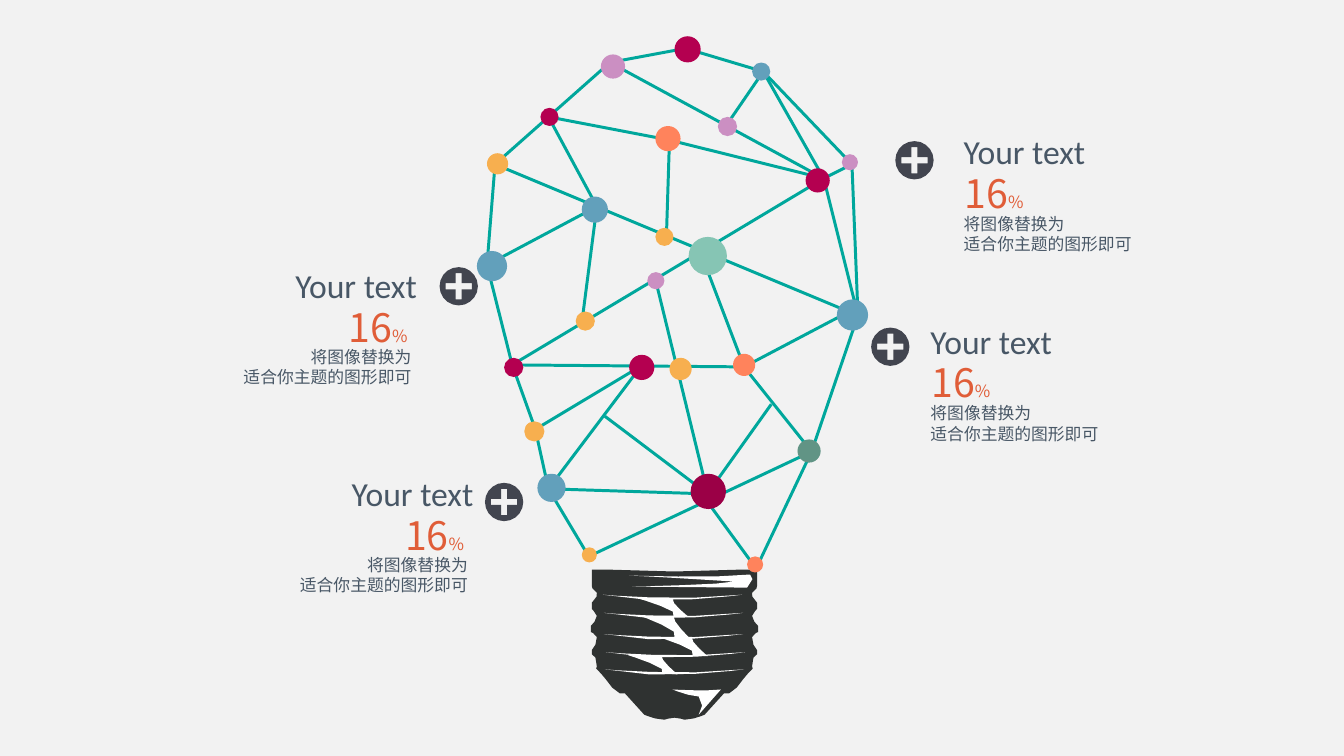
"""Build a light-bulb network slide with four callouts."""
import math

from lxml import etree
from pptx import Presentation
from pptx.dml.color import RGBColor
from pptx.enum import shapes, text
from pptx.oxml import ns
from pptx.util import Inches, Pt

BACKGROUND, SOCKET, WHITE = "F2F2F2", "2F3231", "FFFFFF"
TEAL, SLATE, RED, CHARCOAL = "00A79C", "485766", "E05D38", "42454F"
BLUE, MAGENTA, AMBER = "62A0BB", "B40050", "F7AF4F"
CORAL, LILAC, MINT = "FF835C", "CB8FC2", "86C5B4"
LATIN, CHINESE = "Calibri", "Noto Sans CJK SC"

# Outline steps: two numbers draw a line, six draw a Bezier curve.
SOCKET_LEFT = [
    (6.69, 5.67), (6, 5.65), (5.87, 5.65), (5.87, 5.81),
    (5.87, 5.81, 5.87, 5.86, 5.92, 5.88), (5.92, 5.88, 5.93, 5.95, 5.87, 5.98),
    (5.87, 6.04), (5.87, 6.04, 5.91, 6.08, 5.92, 6.11),
    (5.93, 6.14, 5.87, 6.2, 5.86, 6.21), (5.86, 6.27),
    (5.86, 6.27, 5.9, 6.28, 5.92, 6.32), (5.93, 6.37, 5.89, 6.43, 5.87, 6.45),
    (5.87, 6.49), (5.87, 6.49, 5.95, 6.54, 5.92, 6.61),
    (5.92, 6.61, 5.89, 6.65, 5.96, 6.68), (6.01, 6.74),
    (6.02, 6.77, 6.12, 6.88, 6.15, 6.88), (6.2, 6.88), (6.39, 7.09),
    (6.39, 7.09, 6.5, 7.14, 6.59, 7.14), (6.59, 7.14, 6.65, 7.12, 6.69, 7.12)]
SOCKET_AXIS = 6.69
TOP_GLOSS = [
    (6.24, 5.71), (6.24, 5.71, 7.13, 5.74, 7.44, 5.7),
    (7.44, 5.7, 7.51, 5.78, 7.41, 5.83), (6.27, 5.82),
    (6.27, 5.82, 7.23, 5.8, 7.28, 5.77), (7.28, 5.77, 6.5, 5.72, 6.24, 5.71)]
TIP_GLOSS = [
    (6.67, 6.84), (6.67, 6.84, 7.02, 6.86, 7.15, 6.84), (6.93, 7.09),
    (6.93, 7.09, 7.02, 6.91, 6.93, 6.91), (6.84, 6.91, 6.67, 6.84, 6.67, 6.84)]
GROOVE = [(0, 0), (0, 0, 0.76, 0.07, 1.38, 0), (1.38, 0, 0.54, 0.12, 0, 0)]
GROOVE_STARTS = [(5.98, 5.9), (5.99, 6.08), (5.99, 6.29), (6.01, 6.47), (6, 6.64)]
GLINT = [(0, 0), (0, 0, 0.45, 0.73, 0.34, 0.95),
         (0.49, 1), (0.49, 1, 0.31, 0.22, 0.33, 0)]
GLINTS = [(6.34, 5.94, 0.18), (6.35, 6.11, 0.22), (6.53, 6.32, 0.19), (6.23, 6.5, 0.19)]

WIRES = [
    [(6.96, 4.9), (7.5, 5.64), (8.05, 4.48), (8.51, 3.13), (4.91, 1.63),
     (6.05, 0.62), (8.17, 1.77), (5.08, 3.62), (7.38, 3.64), (8.05, 4.48),
     (5.84, 5.52), (5.44, 4.85), (5.31, 4.26)],
    [(7.2, 1.25), (7.57, 0.71), (8.17, 1.77), (8.45, 1.63), (8.51, 3.13),
     (8.17, 1.77), (6.64, 1.39)],
    [(6.61, 2.34), (6.64, 1.39), (5.44, 1.16), (5.92, 2.05), (4.83, 2.63),
     (5.08, 3.62), (5.31, 4.26), (6.36, 3.63), (5.44, 4.85), (7.02, 4.9), (6.5, 2.77)],
    [(4.91, 1.63), (4.83, 2.63)],
    [(8.45, 1.63), (7.57, 0.71), (6.8, 0.48), (6.05, 0.62)],
    [(5.77, 3.21), (5.92, 2.05)],
    [(8.33, 3.14), (7.38, 3.64), (6.95, 2.51)],
    [(6, 4.13), (7.02, 4.9)],
    [(7.65, 4.01), (7.03, 4.88)]]
NODES = [
    (5.33, 4.7, 0.28, BLUE), (6.85, 4.7, 0.35, "9B0046"), (7.91, 4.36, 0.23, "619485"),
    (7.27, 3.51, 0.22, CORAL), (6.64, 3.55, 0.22, AMBER), (6.83, 2.35, 0.38, MINT),
    (8.3, 2.97, 0.31, BLUE), (7.99, 1.67, 0.24, MAGENTA), (7.46, 0.62, 0.18, BLUE),
    (7.12, 1.16, 0.19, LILAC), (5.96, 0.54, 0.24, LILAC), (6.69, 0.36, 0.26, MAGENTA),
    (6.5, 1.25, 0.25, CORAL), (5.77, 1.95, 0.26, BLUE), (6.5, 2.26, 0.18, AMBER),
    (6.42, 2.7, 0.17, LILAC), (6.24, 3.52, 0.25, MAGENTA), (5.2, 4.18, 0.2, AMBER),
    (5, 3.55, 0.19, MAGENTA), (5.71, 3.09, 0.19, AMBER), (4.73, 2.49, 0.3, BLUE),
    (4.83, 1.52, 0.21, AMBER), (5.36, 1.07, 0.18, MAGENTA), (8.35, 1.53, 0.16, LILAC),
    (5.77, 5.43, 0.15, AMBER), (7.41, 5.52, 0.16, CORAL)]

HEADING, NUMBER, UNIT = "Your text", "16", "%"
DETAILS = ["将图像替换为", "适合你主题的图形即可"]
CALLOUTS = [
    {"mark": (9.07, 1.59), "heading": (9.46, 1.25), "side": "right"},
    {"mark": (8.83, 3.44), "heading": (9.13, 3.13), "side": "right"},
    {"mark": (4.55, 2.84), "heading": (2.83, 2.58), "side": "left"},
    {"mark": (5.0, 4.98), "heading": (3.39, 4.64), "side": "left"}]
SIDES = {"right": (0.01, 0, 0.82, text.PP_ALIGN.LEFT),
         "left": (0.53, -0.53, 0.81, text.PP_ALIGN.RIGHT)}
MARK_RADIUS, ARM, HALF_BAR = 0.19, 0.13, 0.03


def color(value):
    return RGBColor.from_string(value)


def trace(steps):
    points = [steps[0]]
    for step in steps[1:]:
        if len(step) == 2:
            points.append(step)
            continue
        curve = [points[-1], step[:2], step[2:4], step[4:]]
        pieces = min(4, 2 + int(math.dist(curve[0], curve[3]) / 0.2))
        for piece in range(1, pieces + 1):
            t = piece / pieces
            weights = [math.comb(3, k) * t**k * (1 - t)**(3 - k) for k in range(4)]
            points.append(tuple(sum(w * p[axis] for w, p in zip(weights, curve))
                                for axis in (0, 1)))
    return points


def shift(points, left, top, stretch=1):
    return [(left + x, top + y * stretch) for x, y in points]


def add_outline(parent, *contours, fill=None, line=None):
    scaled = [[(Inches(x), Inches(y)) for x, y in contour] for contour in contours]
    builder = parent.build_freeform(*scaled[0][0])
    for index, contour in enumerate(scaled):
        if index:
            builder.move_to(*contour[0])
        builder.add_line_segments(contour[1:], close=fill is not None)
    paint(builder.convert_to_shape(), fill, line)


def paint(shape, fill=None, line=None):
    shape.shadow.inherit = False
    if fill:
        shape.fill.solid()
        shape.fill.fore_color.rgb = color(fill)
    else:
        shape.fill.background()
    if line:
        draw_line(shape, line)
    else:
        shape.line.fill.background()


def draw_line(shape, line):
    shape.line.color.rgb = color(line)
    shape.line.width = Pt(2.13)


def add_wire(parent, points):
    if len(points) > 2:
        add_outline(parent, points, line=TEAL)
        return
    ends = [Inches(value) for point in points for value in point]
    wire = parent.add_connector(shapes.MSO_CONNECTOR.STRAIGHT, *ends)
    draw_line(wire, TEAL)
    etree.SubElement(wire._element.spPr, ns.qn("a:effectLst"))


def add_text(page, paragraphs, at, font=CHINESE, ink=SLATE, align=text.PP_ALIGN.LEFT):
    box = page.shapes.add_textbox(*(Inches(value) for value in at))
    frame = box.text_frame
    frame.word_wrap = False
    frame.auto_size = text.MSO_AUTO_SIZE.SHAPE_TO_FIT_TEXT
    for index, spans in enumerate(paragraphs):
        para = frame.add_paragraph() if index else frame.paragraphs[0]
        para.alignment = align
        for words, size in spans:
            span = para.add_run()
            span.text = words
            span.font.size = Pt(size)
            span.font.name = font
            span.font.color.rgb = color(ink)
            etree.SubElement(span.font._element, ns.qn("a:ea"), typeface=font)


def add_bulb(page):
    bulb = page.shapes.add_group_shape().shapes
    left = trace(SOCKET_LEFT)
    right = [(2 * SOCKET_AXIS - x, y) for x, y in reversed(left[1:-1])]
    add_outline(bulb, left + right, fill=SOCKET)
    add_outline(bulb, trace(TOP_GLOSS), fill=WHITE)
    for start in GROOVE_STARTS:
        add_outline(bulb, shift(trace(GROOVE), *start), fill=WHITE)
    add_outline(bulb, trace(TIP_GLOSS), fill=WHITE)
    for glint in GLINTS:
        add_outline(bulb, shift(trace(GLINT), *glint), fill=WHITE)
    for points in WIRES:
        add_wire(bulb, points)
    for x, y, size, fill in NODES:
        at = (Inches(value) for value in (x, y, size, size))
        paint(bulb.add_shape(shapes.MSO_SHAPE.OVAL, *at), fill)


def add_callout(page, mark, heading, side):
    angles = [math.radians(degrees) for degrees in range(0, 360, 18)]
    disc = [(MARK_RADIUS * math.cos(a), MARK_RADIUS * math.sin(a)) for a in angles]
    corner = [(ARM, -HALF_BAR), (ARM, HALF_BAR), (HALF_BAR, HALF_BAR)]
    plus = []
    for _ in range(4):
        plus += corner
        corner = [(-y, x) for x, y in corner]
    add_outline(page.shapes, shift(disc, *mark), shift(plus, *mark), fill=CHARCOAL)
    x, y = heading
    number_shift, detail_shift, detail_drop, align = SIDES[side]
    add_text(page, [[(HEADING, 24)]], (x, y, 1.42, 0.5), font=LATIN)
    add_text(page, [[(line, 12)] for line in DETAILS],
             (x + detail_shift, y + detail_drop, 1.88, 0.5), align=align)
    add_text(page, [[(NUMBER, 28), (UNIT, 12)]],
             (x + number_shift, y + 0.38, 0.81, 0.57), ink=RED)


def main():
    deck = Presentation()
    deck.slide_width, deck.slide_height = Inches(13.33), Inches(7.5)
    page = deck.slides.add_slide(deck.slide_layouts[6])
    page.background.fill.solid()
    page.background.fill.fore_color.rgb = color(BACKGROUND)
    add_bulb(page)
    for callout in CALLOUTS:
        add_callout(page, **callout)
    deck.save("out.pptx")


if __name__ == "__main__":
    main()
